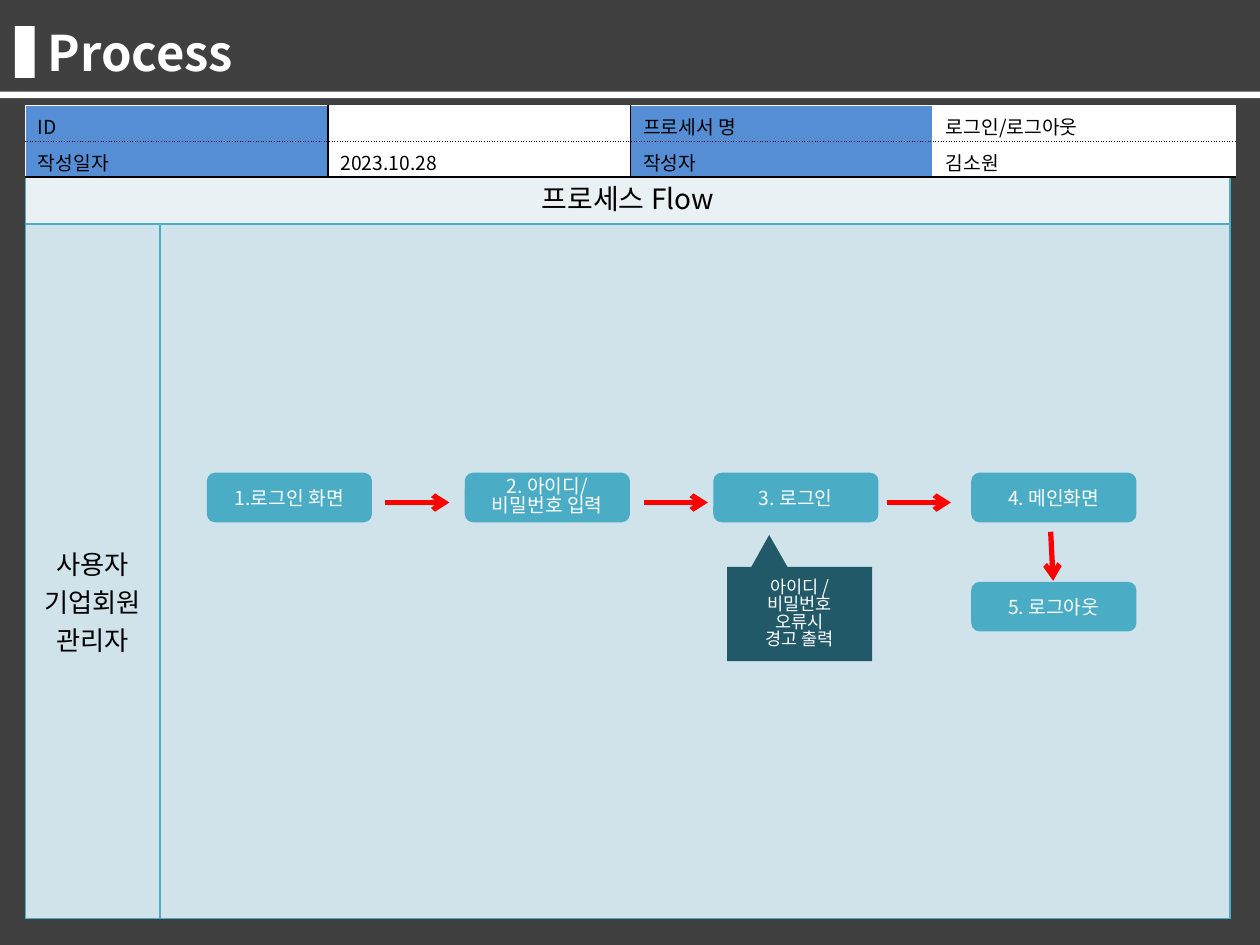
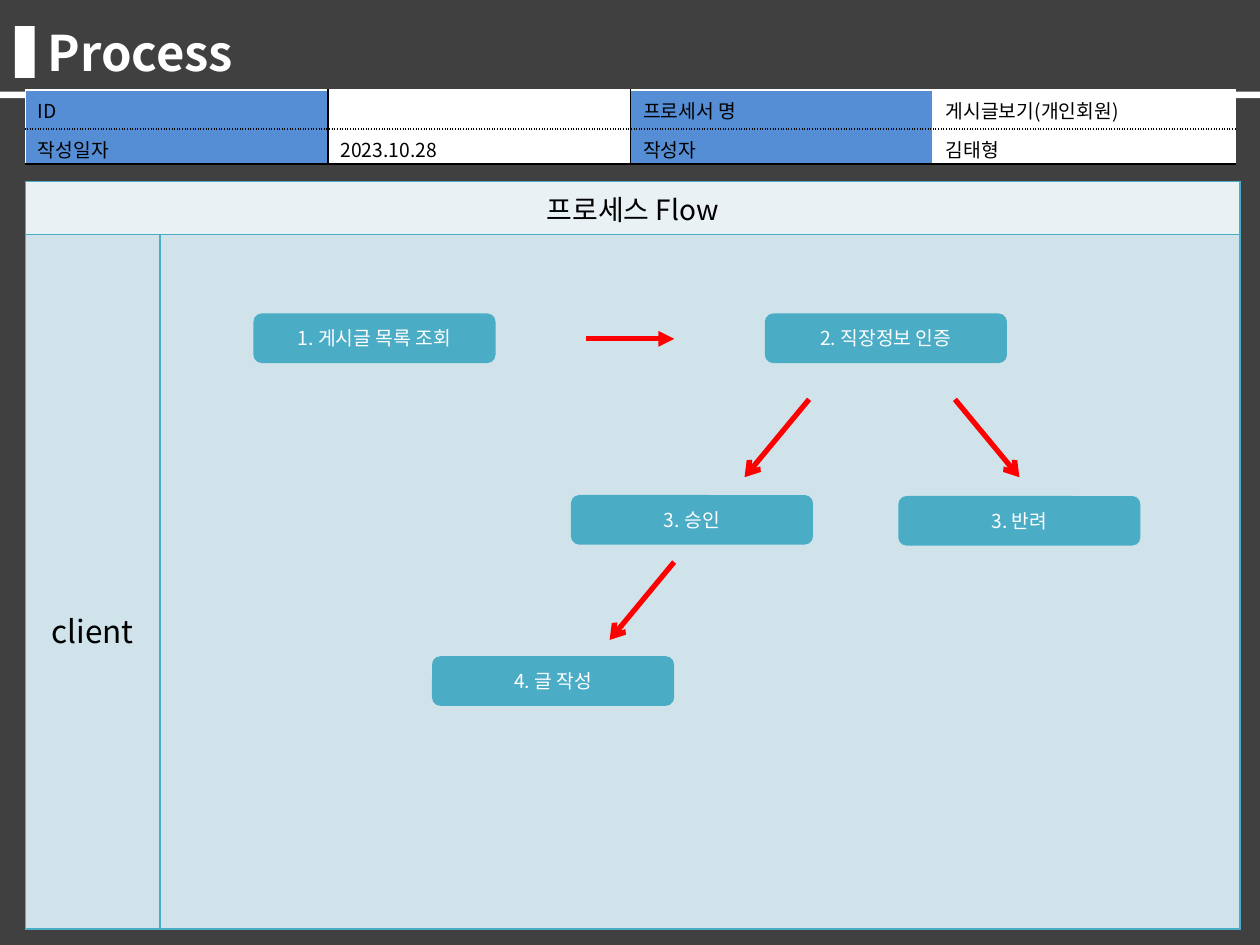
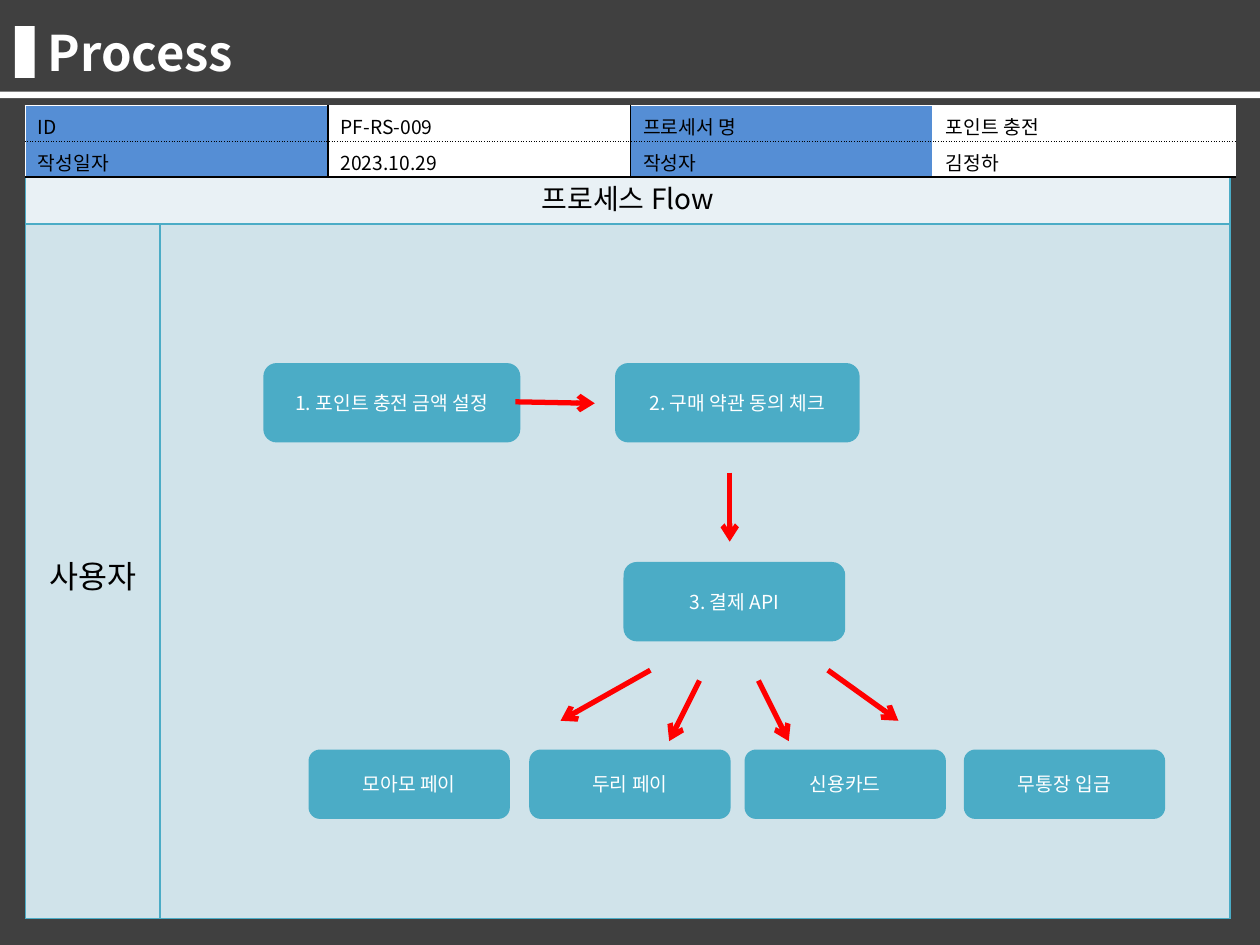
import pptx
import pptx.dml.color
import pptx.enum.shapes
import pptx.enum.text
import pptx.oxml.ns
import pptx.util
from lxml import etree

Cm, Pt = pptx.util.Cm, pptx.util.Pt
qn = pptx.oxml.ns.qn
SHAPE = pptx.enum.shapes.MSO_SHAPE
ALIGN = pptx.enum.text.PP_ALIGN
MID = pptx.enum.text.MSO_ANCHOR.MIDDLE

FONT = "Noto Sans CJK KR"
WHITE, BLACK, DARK = "FFFFFF", "000000", "404040"
TEAL, NAVY, RED, BLUE = "4BACC6", "215968", "FF0000", "558ED5"
PALE, LIGHT = "E9F1F5", "D0E3EA"


def rgb(code):
    return pptx.dml.color.RGBColor.from_string(code)


def paint(fill, code):
    fill.solid()
    fill.fore_color.rgb = rgb(code)


def write(frame, text, size, code, align=ALIGN.CENTER, bold=False):
    frame.text = text
    for para in frame.paragraphs:
        para.alignment = align
        font = para.font
        font.size, font.bold, font.name = Pt(size), bold, FONT
        font.color.rgb = rgb(code)
        etree.SubElement(font._element, qn("a:ea"), typeface=FONT)
        if not text:
            etree.SubElement(para._p, qn("a:endParaRPr"), sz=str(size * 100))


def block(slide, kind, place, code):
    shape = slide.shapes.add_shape(kind, *map(Cm, place))
    shape.shadow.inherit = False
    paint(shape.fill, code)
    shape.line.fill.background()
    return shape


def label(shape, text, size):
    frame = shape.text_frame
    frame.word_wrap = True
    frame.vertical_anchor = MID
    write(frame, text, size, WHITE)
    if "\n" in text:
        for para in frame.paragraphs:
            para.line_spacing = 0.83


def step(slide, text, x, y, w, h):
    label(block(slide, SHAPE.ROUNDED_RECTANGLE, (x, y, w, h), TEAL), text, 11)


def note(slide, text, *place):
    """Callout whose tip points up at the step above."""
    shape = block(slide, SHAPE.RECTANGULAR_CALLOUT, place, NAVY)
    shape.adjustments[0] = -0.21
    shape.adjustments[1] = -0.84
    label(shape, text, 10)


def arrow(slide, x1, y1, x2, y2, head="arrow"):
    kind = pptx.enum.shapes.MSO_CONNECTOR.STRAIGHT
    link = slide.shapes.add_connector(kind, *map(Cm, (x1, y1, x2, y2)))
    link.line.color.rgb = rgb(RED)
    link.line.width = Pt(3)
    etree.SubElement(link.line._get_or_add_ln(), qn("a:tailEnd"), type=head)
    etree.SubElement(link._element.spPr, qn("a:effectLst"))


def edge(cell, side, code, dash="solid"):
    line = etree.SubElement(cell._tc.get_or_add_tcPr(), qn("a:ln" + side), w="12700")
    fill = etree.SubElement(line, qn("a:solidFill"))
    etree.SubElement(fill, qn("a:srgbClr"), val=code)
    etree.SubElement(line, qn("a:prstDash"), val=dash)


def grid(slide, x, y, cols, rows):
    """Add a plain table with the given column widths and row heights."""
    size = (x, y, sum(cols), sum(rows))
    table = slide.shapes.add_table(len(rows), len(cols), *map(Cm, size)).table
    table.first_row = table.horz_banding = False
    for col, width in zip(table.columns, cols):
        col.width = Cm(width)
    for row, height in zip(table.rows, rows):
        row.height = Cm(height)
    return table


def info(slide, y, rows, code, name, date, author):
    table = grid(slide, 0.51, y, [6.1] * 4, rows)
    texts = [("ID", code, "프로세서 명", name),
             ("작성일자", date, "작성자", author)]
    walls = [WHITE, BLACK, BLACK, WHITE, WHITE]
    floors = [(WHITE, "solid"), (BLACK, "sysDot"), (BLACK, "solid")]
    for r, line in enumerate(texts):
        for c, text in enumerate(line):
            cell = table.cell(r, c)
            edge(cell, "L", walls[c])
            edge(cell, "R", walls[c + 1])
            edge(cell, "T", *floors[r])
            edge(cell, "B", *floors[r + 1])
            paint(cell.fill, WHITE if c % 2 else BLUE)
            cell.margin_top, cell.margin_bottom = Cm(0.13), 0
            write(cell.text_frame, text, 11, BLACK, ALIGN.LEFT)


def flow(slide, y, width, actor, size, drop):
    """Add the flow panel; drop is the top margin of the actor cell."""
    table = grid(slide, 0.51, y, [2.72, width], [1.07, 14])
    for cell in table.iter_cells():
        for side in "LRTB":
            edge(cell, side, TEAL)
        paint(cell.fill, LIGHT)
        cell.vertical_anchor = MID
    head, side = table.cell(0, 0), table.cell(1, 0)
    head.merge(table.cell(0, 1))
    paint(head.fill, PALE)
    write(head.text_frame, "프로세스 Flow", 16, BLACK)
    side.margin_top = Cm(drop)
    write(side.text_frame, actor, size, BLACK)


def page(deck):
    slide = deck.slides.add_slide(deck.slide_layouts.get_by_name("Title Only"))
    title = slide.shapes.title
    title.left, title.top, title.width, title.height = map(Cm, (0.71, 0.33, 22.81, 1.45))
    title.text_frame.vertical_anchor = MID
    write(title.text_frame, "Process", 28, WHITE, ALIGN.LEFT, True)
    block(slide, SHAPE.RECTANGLE, (0.3, 0.53, 0.4, 1.04), WHITE)
    block(slide, SHAPE.RECTANGLE, (0, 1.85, 25.4, 0.13), WHITE)
    return slide


def login(deck):
    slide = page(deck)
    flow(slide, 3.45, 21.57, "사용자\n기업회원\n관리자", 15, 1.3)
    info(slide, 2.13, [0.72, 0.72], "", "로그인/로그아웃", "2023.10.28", "김소원")
    for text, x, y in [("1.로그인 화면", 4.17, 9.53),
                       ("2. 아이디/\n비밀번호 입력", 9.37, 9.53),
                       ("3. 로그인", 14.38, 9.53),
                       ("4. 메인화면", 19.58, 9.53),
                       ("5. 로그아웃", 19.58, 11.73)]:
        step(slide, text, x, y, 3.33, 1)
    note(slide, "아이디 /\n비밀번호\n오류시\n경고 출력", 14.66, 11.43, 2.92, 1.9)
    for x in (7.77, 12.98, 17.88):
        arrow(slide, x, 10.13, x + 1.29, 10.13)
    arrow(slide, 21.18, 10.72, 21.23, 11.71)


def post(deck):
    slide = page(deck)
    info(slide, 1.81, [0.79, 0.71], "", "게시글보기(개인회원)", "2023.10.28", "김태형")
    flow(slide, 3.66, 21.77, "client", 18, 2.07)
    for text, x, y in [("1. 게시글 목록 조회", 5.11, 6.32),
                       ("2. 직장정보 인증", 15.42, 6.32),
                       ("3. 승인", 11.51, 9.98),
                       ("3. 반려", 18.11, 10),
                       ("4. 글 작성", 8.71, 13.23)]:
        step(slide, text, x, y, 4.88, 1)
    arrow(slide, 11.81, 6.83, 13.59, 6.83, "triangle")
    for x, y, run in [(16.31, 8.05, -1.3), (19.25, 8.05, 1.3), (13.59, 11.33, -1.3)]:
        arrow(slide, x, y, x + run, y + 1.57)


def charge(deck):
    slide = page(deck)
    flow(slide, 3.45, 21.57, "사용자", 18, 0.25)
    info(slide, 2.13, [0.72, 0.72], "PF-RS-009", "포인트 충전", "2023.10.29", "김정하")
    for text, x, y, w in [("1. 포인트 충전 금액 설정", 5.31, 7.32, 5.18),
                          ("2. 구매 약관 동의 체크", 12.4, 7.32, 4.93),
                          ("3. 결제 API", 12.57, 11.33, 4.47)]:
        step(slide, text, x, y, w, 1.6)
    for text, x in [("모아모 페이", 6.22), ("두리 페이", 10.67),
                    ("신용카드", 15.01), ("무통장 입금", 19.43)]:
        step(slide, text, x, 15.11, 4.06, 1.4)
    for ends in [(10.39, 8.1, 11.99, 8.13), (14.71, 9.53, 14.71, 10.92),
                 (13.11, 13.51, 11.3, 14.53), (14.1, 13.72, 13.49, 14.94),
                 (15.29, 13.72, 15.9, 14.94), (16.69, 13.51, 18.11, 14.53)]:
        arrow(slide, *ends)


def main():
    deck = pptx.Presentation()
    deck.slide_width, deck.slide_height = Cm(25.4), Cm(19.05)
    paint(deck.slide_master.background.fill, DARK)
    login(deck)
    post(deck)
    charge(deck)
    deck.save("out.pptx")


if __name__ == "__main__":
    main()
